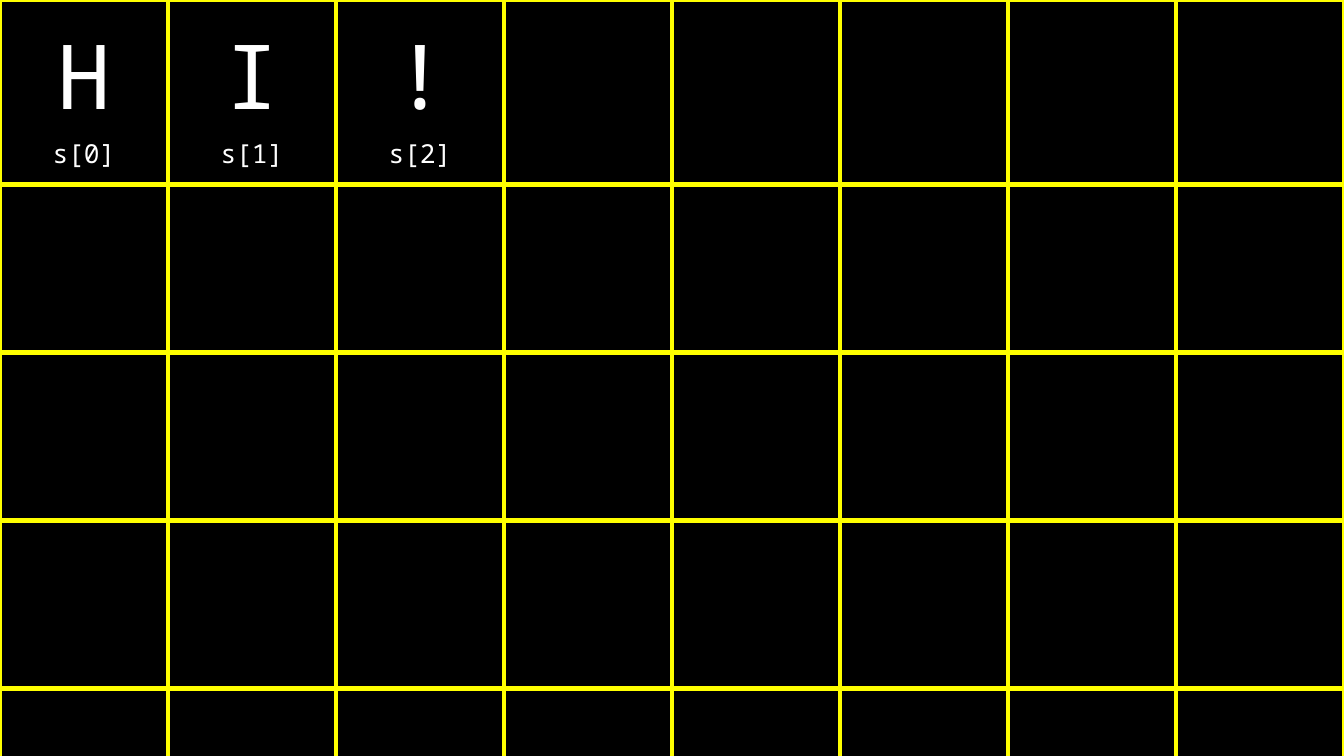
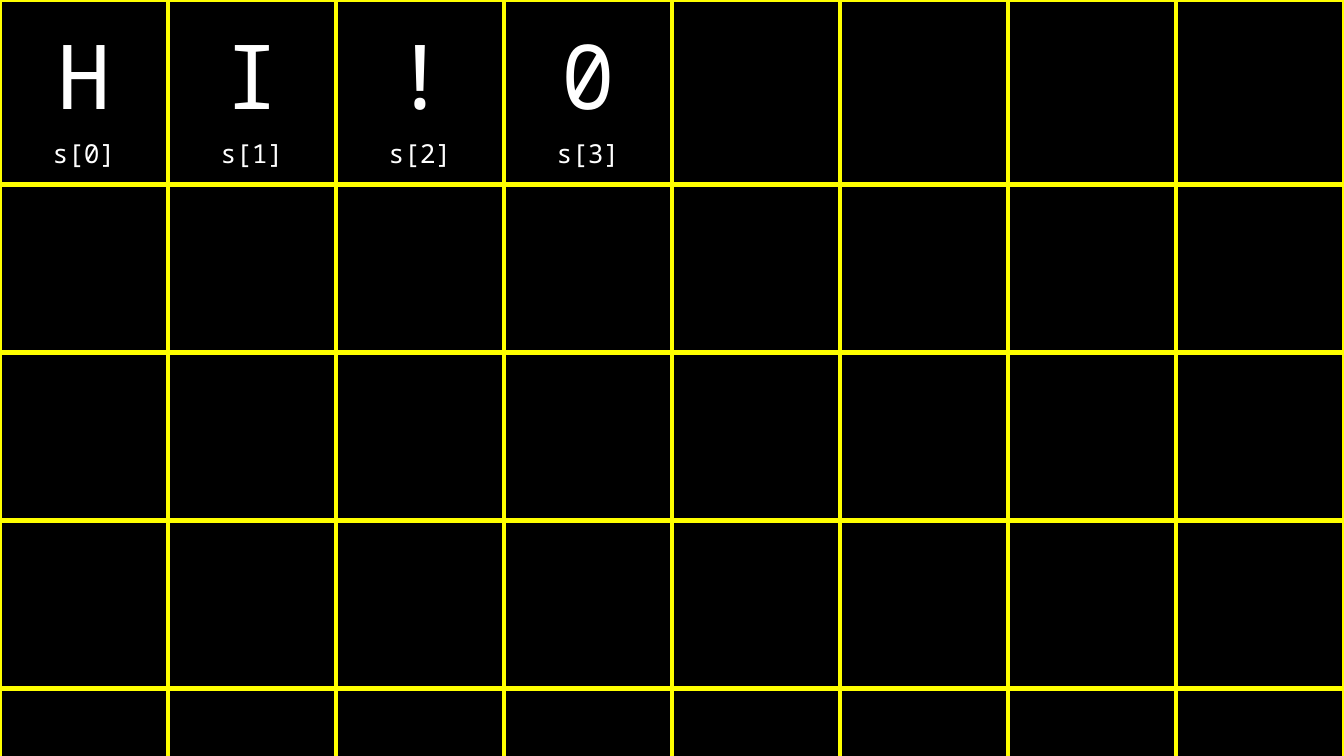
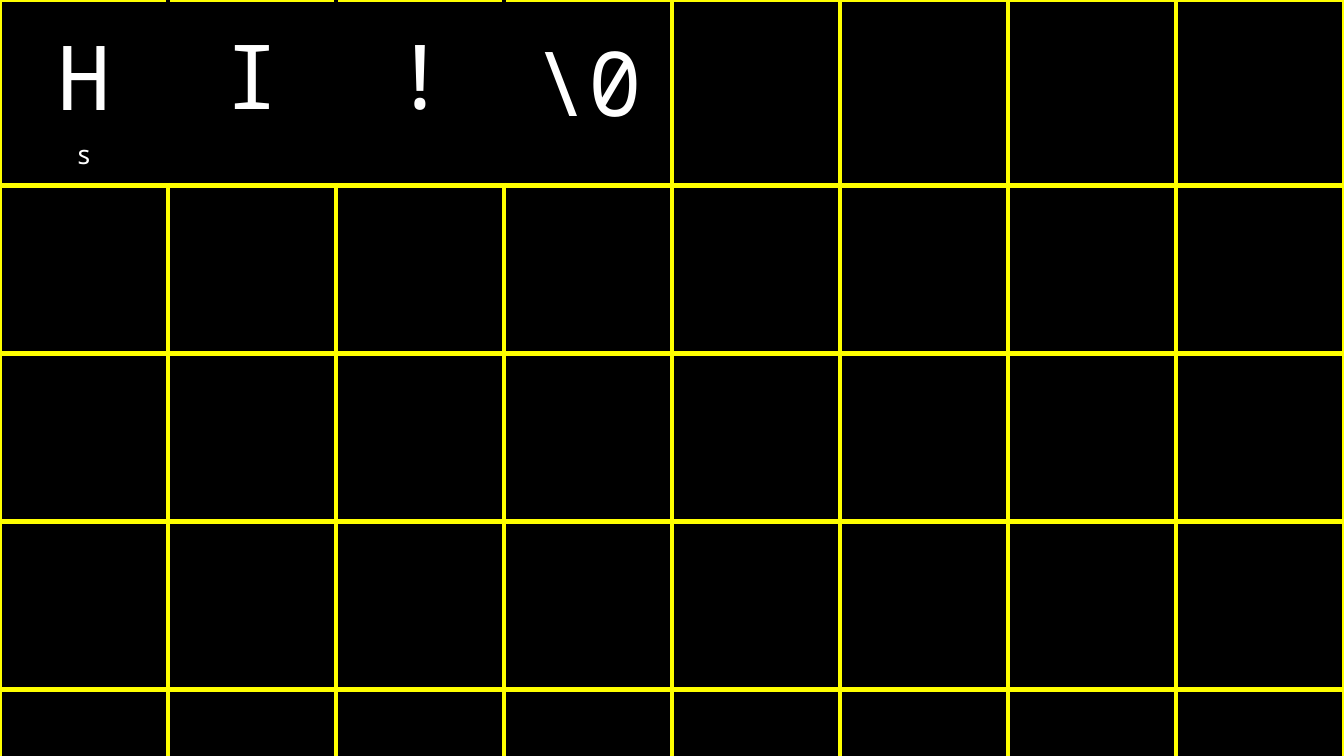
from lxml.etree import SubElement
from pptx import Presentation
from pptx.dml.color import RGBColor
from pptx.enum.text import MSO_ANCHOR, PP_ALIGN
from pptx.oxml.ns import qn
from pptx.util import Inches, Pt

WIDE = 10
HIGH = WIDE * 9 / 16
COLS, ROWS = 8, 5
SIDE = WIDE / COLS
FONT = "Noto Sans Mono"
BLACK, WHITE, YELLOW = "000000", "FFFFFF", "FFFF00"
PAD = 0.1
LINE = 3

# Each byte: letter, label, bottom margin (deeper where no label holds the letter up)
BARE = 0.37
TEXT = "HI!"
INDEXED = [(mark, f"s[{i}]", PAD) for i, mark in enumerate(TEXT + "0")]
STRING = [("H", "s", PAD), ("I", "", BARE), ("!", "", BARE), ("\\0", "", 0.32)]


def color(code):
    return RGBColor.from_string(code)


def edge(cell, **sides):
    """Draw the cell's borders, given as L, R, T and B colours."""
    props = cell._tc.get_or_add_tcPr()
    for side, code in sides.items():
        line = SubElement(props, qn(f"a:ln{side}"), w=str(Pt(LINE)))
        fill = SubElement(line, qn("a:solidFill"))
        SubElement(fill, qn("a:srgbClr"), val=code)


def write(cell, mark, label, depth):
    cell.vertical_anchor = MSO_ANCHOR.BOTTOM
    cell.margin_left = cell.margin_right = cell.margin_top = Inches(PAD)
    cell.margin_bottom = Inches(depth)
    cell.text = f"{mark}\n{label}" if label else mark
    for para, size in zip(cell.text_frame.paragraphs, (48, 14)):
        para.alignment = PP_ALIGN.CENTER
        para.font.name = FONT
        para.font.size = Pt(size)
        para.font.color.rgb = color(WHITE)


def memory(deck, data, joined=False):
    """Add a slide of memory cells; joined hides the lines between the bytes."""
    slide = deck.slides.add_slide(deck.slide_layouts[6])
    table = slide.shapes.add_table(
        ROWS, COLS, 0, 0, Inches(WIDE), Inches(SIDE * ROWS)).table
    table.first_row = table.horz_banding = False
    for row in range(ROWS):
        for col in range(COLS):
            cell = table.cell(row, col)
            inside = joined and row == 0
            left = BLACK if inside and 0 < col < len(data) else YELLOW
            right = BLACK if inside and col < len(data) - 1 else YELLOW
            edge(cell, L=left, R=right, T=YELLOW, B=YELLOW)
            cell.fill.background()
    for col, entry in enumerate(data):
        write(table.cell(0, col), *entry)


def main():
    deck = Presentation()
    deck.slide_width, deck.slide_height = Inches(WIDE), Inches(HIGH)
    back = deck.slide_master.background.fill
    back.solid()
    back.fore_color.rgb = color(BLACK)
    memory(deck, INDEXED[:3])
    memory(deck, INDEXED)
    memory(deck, STRING, joined=True)
    deck.save("out.pptx")


if __name__ == "__main__":
    main()
